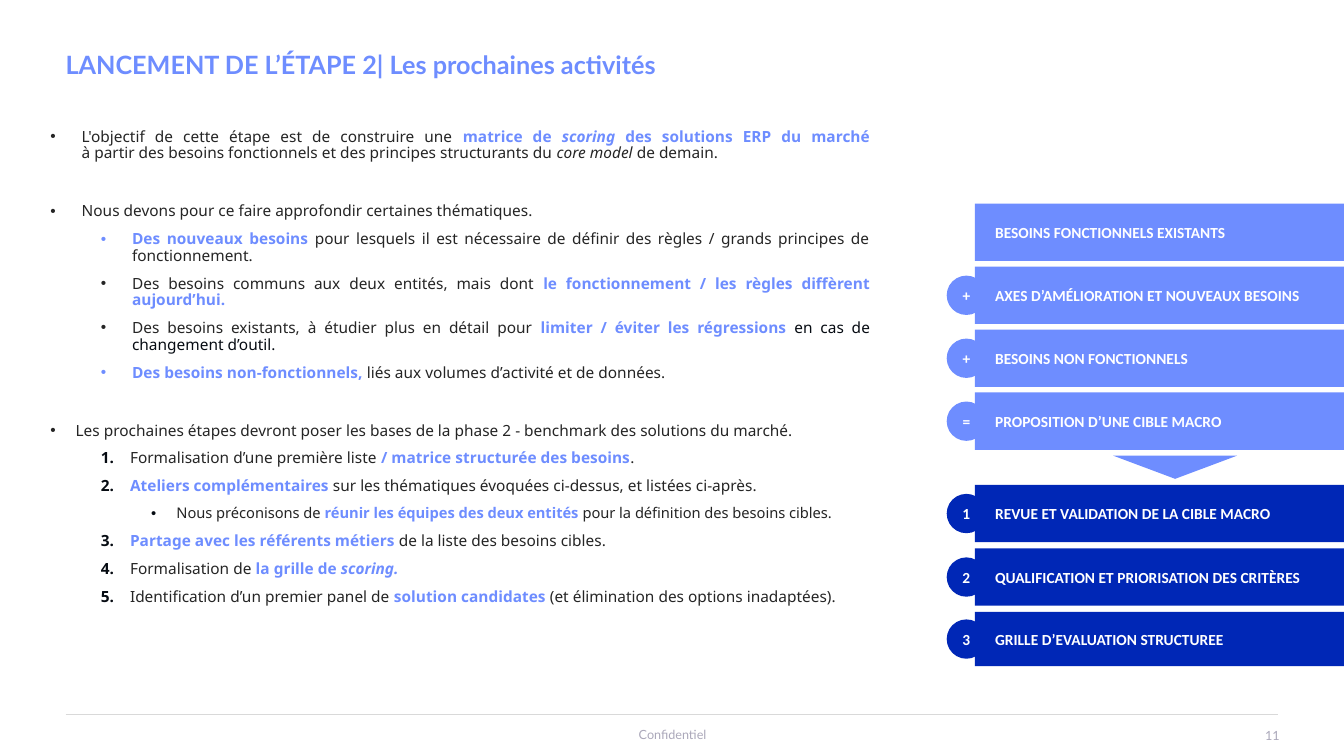
import copy

import pptx
import pptx.dml.color
import pptx.enum.shapes
import pptx.enum.text
import pptx.oxml.ns
import pptx.util
from lxml import etree

WIDTH, HEIGHT = 13.33, 7.5
COLOURS = {
    "accent": "6E8DFF", "deep": "0027B6", "text": "252525", "ink": "060B12",
    "white": "FFFFFF", "muted": "ABA8BA", "rule": "D9D9D9",
}
SHAPES = pptx.enum.shapes.MSO_SHAPE
ALIGN = pptx.enum.text.PP_ALIGN
MIDDLE = pptx.enum.text.MSO_ANCHOR.MIDDLE

# Run styles: colour, bold, italic
STYLES = {
    "plain": ("text", False, False),
    "ink": ("ink", False, False),
    "strong": ("text", True, False),
    "italic": ("text", False, True),
    "key": ("accent", True, False),
    "key italic": ("accent", True, True),
}
# Paragraph kinds: level, left margin, hanging indent, justified, numbered, size
KINDS = {
    "point": (0, 0.31, 0.31, True, False, 11),
    "detail": (1, 0.81, 0.31, True, False, 11),
    "next": (0, 0.25, 0.25, False, False, 11),
    "step": (1, 0.75, 0.25, False, True, 11),
    "substep": (2, 1.25, 0.25, False, False, 10.5),
}
# Paragraph kind, space before, runs
BODY = [
    ("point", 0, [
        ("L'objectif de cette étape est de construire une ", "plain"),
        ("matrice de ", "key"), ("scoring", "key italic"),
        (" des solutions ERP du marché", "key"), ("\n", "plain"),
        ("à partir des besoins fonctionnels et des principes structurants du ", "plain"),
        ("core model ", "italic"), ("de demain.", "plain")]),
    ("point", 25.5, [
        ("Nous devons pour ce faire approfondir certaines thématiques.", "plain")]),
    ("detail", 4, [
        ("Des nouveaux besoins ", "key"),
        ("pour lesquels il est nécessaire de définir des règles / grands principes "
         "de fonctionnement.", "plain")]),
    ("detail", 4, [
        ("Des besoins communs aux deux entités, mais dont ", "plain"),
        ("le fonctionnement / les règles diffèrent aujourd’hui. ", "key")]),
    ("detail", 4, [
        ("Des besoins existants, à étudier plus en détail pour ", "plain"),
        ("limiter / éviter les régressions ", "key"),
        ("en cas de changement d’outil.", "ink")]),
    ("detail", 4, [
        ("Des besoins non-fonctionnels, ", "key"),
        ("liés aux volumes d’activité et de données.", "plain")]),
    ("next", 25.5, [
        ("Les prochaines étapes devront poser les bases de la phase 2 - benchmark "
         "des solutions du marché.", "plain")]),
    ("step", 4, [
        (" ", "key"), ("Formalisation d’une première liste ", "plain"),
        ("/ matrice structurée des besoins", "key"), (".", "plain")]),
    ("step", 4, [
        (" Ateliers complémentaires ", "key"),
        ("sur les thématiques évoquées ci-dessus, et listées ci-après.", "plain")]),
    ("substep", 4, [
        ("Nous préconisons de ", "plain"),
        ("réunir les équipes des deux entités ", "key"),
        ("pour la définition des besoins cibles.", "plain")]),
    ("step", 4, [
        (" ", "strong"), ("Partage avec les référents métiers ", "key"),
        ("de la liste des besoins cibles.", "plain")]),
    ("step", 4, [
        (" ", "strong"), ("Formalisation de ", "plain"),
        ("la grille de ", "key"), ("scoring.", "key italic")]),
    ("step", 4, [
        (" ", "strong"), ("Identification d’un premier panel de ", "plain"),
        ("solution candidates", "key"),
        (" (et élimination des options inadaptées).", "plain")]),
]
# Badge, label, height
INPUTS = [
    ("", "BESOINS FONCTIONNELS EXISTANTS", 7.6),
    ("+", "AXES D’AMÉLIORATION ET NOUVEAUX BESOINS", 7.6),
    ("+", "BESOINS NON FONCTIONNELS", 7.6),
    ("=", "PROPOSITION D’UNE CIBLE MACRO", 7.6),
]
STAGES = [
    ("1", "REVUE ET VALIDATION DE LA CIBLE MACRO", 7.6),
    ("2", "QUALIFICATION ET PRIORISATION DES CRITÈRES", 7.6),
    ("3", "GRILLE D’EVALUATION STRUCTUREE", 7.2),
]


def area(left, top, width, height):
    """Turn percentages of the slide into lengths."""
    return [pptx.util.Inches(share * side / 100) for share, side in
            zip((left, top, width, height), (WIDTH, HEIGHT, WIDTH, HEIGHT))]


def colour(name):
    return pptx.dml.color.RGBColor.from_string(COLOURS[name])


def style_font(font, face, size, tint, bold=False, italic=False):
    font.name, font.size = face, pptx.util.Pt(size)
    font.bold, font.italic = bold, italic
    font.color.rgb = colour(tint)


def set_text(box, text, face, size, tint, bold=False, align=ALIGN.LEFT):
    frame = box.text_frame
    frame.text = text
    frame.word_wrap = True
    frame.vertical_anchor = MIDDLE
    para = frame.paragraphs[0]
    para.alignment = align
    for span in para.runs:
        style_font(span.font, face, size, tint, bold)


def move(holder, place):
    holder.left, holder.top, holder.width, holder.height = area(*place)
    holder.text_frame.auto_size = pptx.enum.text.MSO_AUTO_SIZE.NONE


def add_mark(para, kind):
    """Set the level, hanging indent and bullet or number."""
    level, margin, hanging, _, numbered, _ = KINDS[kind]
    para.level = level
    props = para._p.get_or_add_pPr()
    props.set("marL", str(pptx.util.Inches(margin)))
    props.set("indent", str(-pptx.util.Inches(hanging)))
    qn = pptx.oxml.ns.qn
    if kind in ("step", "substep"):
        tint = etree.SubElement(props, qn("a:buClr"))
        etree.SubElement(tint, qn("a:srgbClr"), val=COLOURS["ink"])
    if numbered:
        etree.SubElement(props, qn("a:buAutoNum"), type="arabicPeriod")
    else:
        etree.SubElement(props, qn("a:buFont"), typeface="Arial")
        etree.SubElement(props, qn("a:buChar"), char="•")


def add_item(para, kind, before, runs):
    add_mark(para, kind)
    justified, size = KINDS[kind][3], KINDS[kind][5]
    para.alignment = ALIGN.JUSTIFY if justified else ALIGN.LEFT
    para.line_spacing = 0.9
    para.space_before, para.space_after = pptx.util.Pt(before), pptx.util.Pt(4)
    for text, style in runs:
        if text == "\n":
            para.add_line_break()
            # The break takes the size of the run before it
            para._p[-1].append(copy.deepcopy(para.runs[-1]._r.rPr))
            continue
        span = para.add_run()
        span.text = text
        style_font(span.font, "Noto Sans", size, *STYLES[style])


def add_block(page, preset, place, fill):
    block = page.shapes.add_shape(preset, *area(*place))
    block.shadow.inherit = False
    block.fill.solid()
    block.fill.fore_color.rgb = colour(fill)
    block.line.fill.background()
    return block


def add_stack(page, rows, top, pitch, fill):
    """Draw bars one under another, each with a badge centred on its height."""
    badge_height = 5.2
    for index, (sign, label, height) in enumerate(rows):
        row_top = top + index * pitch
        bar = add_block(page, SHAPES.RECTANGLE, (72.54, row_top, 29.78, height), fill)
        set_text(bar, label, "Calibri", 11, "white", True)
        bar.text_frame.margin_left = pptx.util.Inches(0.2)
        if sign:
            badge_top = row_top + (height - badge_height) / 2
            badge = add_block(page, SHAPES.OVAL, (70.44, badge_top, 2.93, badge_height), fill)
            set_text(badge, sign, "Calibri", 11, "white", True, ALIGN.CENTER)
            frame = badge.text_frame
            frame.margin_left = frame.margin_right = 0
            frame.margin_top = frame.margin_bottom = 0


def add_footer(page):
    left, top, width, _ = area(4.88, 94.53, 90.24, 0)
    rule = page.shapes.add_connector(
        pptx.enum.shapes.MSO_CONNECTOR.STRAIGHT, left, top, left + width, top)
    rule.line.color.rgb = colour("rule")
    rule.line.width = pptx.util.Pt(1)
    etree.SubElement(rule._element.spPr, pptx.oxml.ns.qn("a:effectLst"))
    for text, place, align in (
            ("Confidentiel", (33.16, 95.6, 33.76, 3.2), ALIGN.CENTER),
            ("11", (92.57, 95.6, 3.38, 3.33), ALIGN.RIGHT)):
        box = page.shapes.add_textbox(*area(*place))
        set_text(box, text, "Lato", 9, "muted", align=align)


def main():
    deck = pptx.Presentation()
    deck.slide_width, deck.slide_height = area(0, 0, 100, 100)[2:]
    page = deck.slides.add_slide(deck.slide_layouts[1])
    add_footer(page)

    # Title
    title = page.shapes.title
    move(title, (4.13, 6.27, 88.97, 5.07))
    set_text(title, "LANCEMENT DE L’ÉTAPE 2| Les prochaines activités",
             "Lato", 18, "accent", True)
    title.text_frame.paragraphs[0].line_spacing = 0.9

    # Body list
    body = page.placeholders[1]
    move(body, (3.15, 16.4, 63.09, 79.33))
    frame = body.text_frame
    frame.margin_left, frame.margin_right = pptx.util.Inches(0.08), pptx.util.Inches(0.2)
    for index, item in enumerate(BODY):
        add_item(frame.add_paragraph() if index else frame.paragraphs[0], *item)

    # Inputs, arrow and stages
    add_stack(page, INPUTS, 26.93, 8.33, "accent")
    arrow = add_block(page, SHAPES.ISOSCELES_TRIANGLE, (82.82, 60.27, 9.23, 3.07), "accent")
    arrow.rotation = 180
    add_stack(page, STAGES, 64.13, 8.4, "deep")
    deck.save("out.pptx")


if __name__ == "__main__":
    main()
